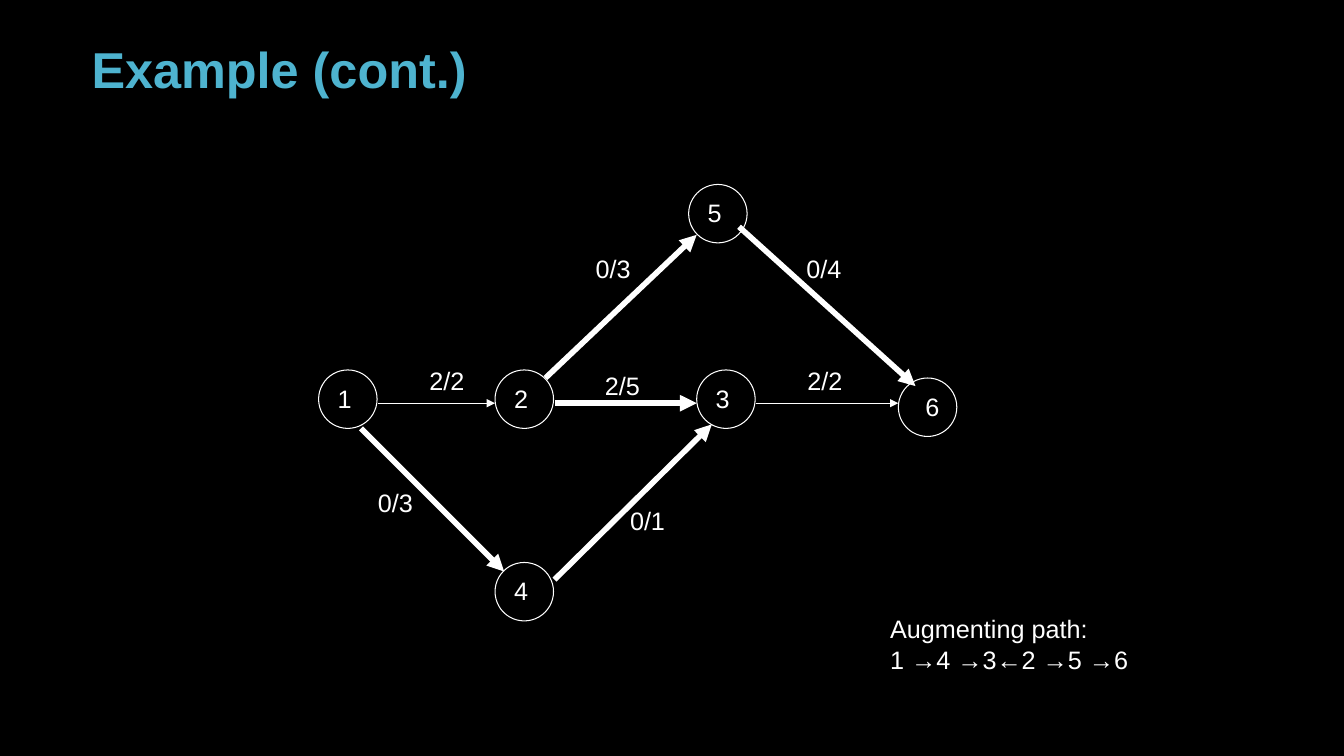
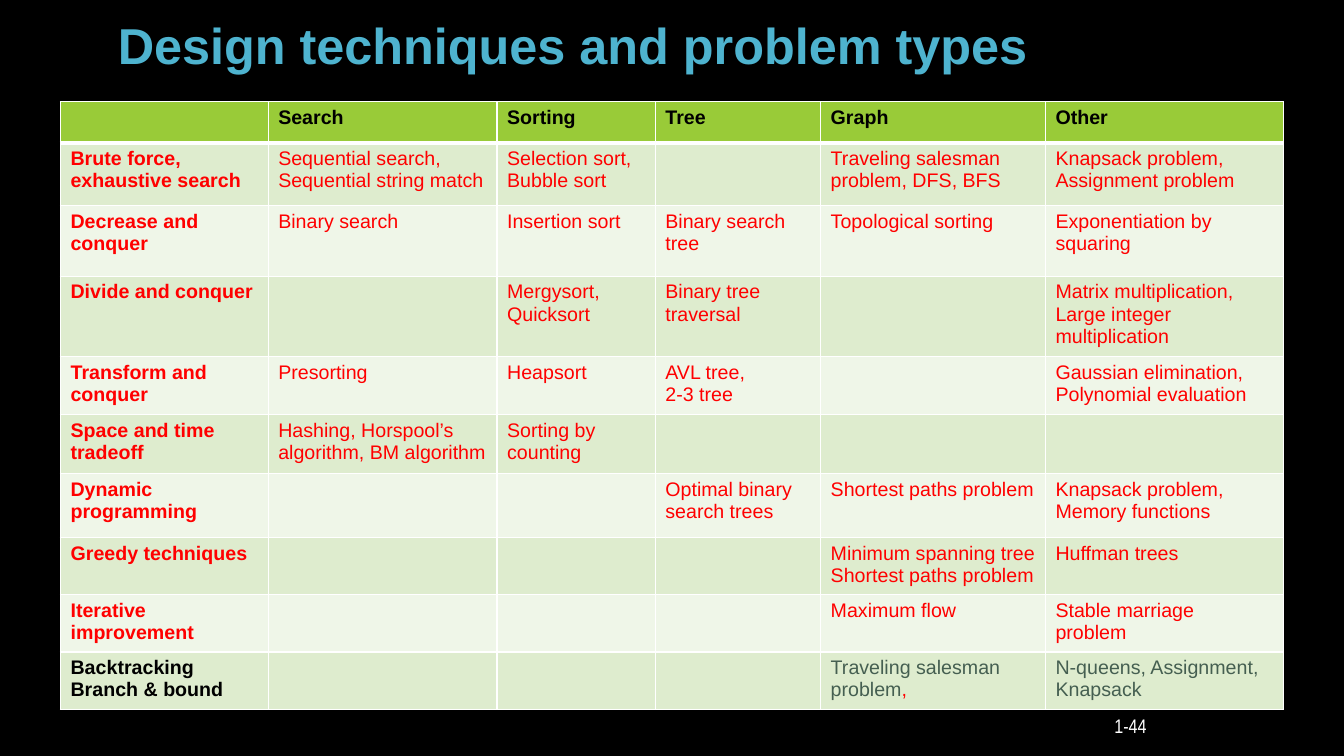
import dataclasses
import itertools

import lxml.etree
import pptx
import pptx.dml.color
import pptx.enum.shapes
import pptx.enum.text
import pptx.oxml.ns
import pptx.slide
import pptx.table
import pptx.text.text
import pptx.util

EMU_PER_PX = 9144
BLANK_LAYOUT = 6
BLACK, WHITE, RED, SLATE = "000000", "FFFFFF", "FF0000", "455F51"
TITLE_BLUE, HEADER_GREEN = "4EB3CF", "99CB38"
BANDS = ("DEECCE", "EFF6E8")
NODE_SIZE = 58
THICK, THIN = 4, 0.75


@dataclasses.dataclass(frozen=True)
class Node:
    name: str
    left: int
    top: int
    label_dx: int = 9
    label_dy: int = 8


@dataclasses.dataclass(frozen=True)
class Edge:
    start: tuple[int, int]
    end: tuple[int, int]
    width: float
    label: str
    label_at: tuple[int, int]


@dataclasses.dataclass(frozen=True)
class Technique:
    name: str
    search: str = ""
    sorting: str = ""
    tree: str = ""
    graph: str = ""
    other: str = ""
    height: int = 57
    name_color: str = RED
    color: str = RED


NODES = (
    Node("1", 316, 367),
    Node("2", 491, 367),
    Node("3", 691, 367),
    Node("4", 491, 558),
    Node("5", 683, 183),
    Node("6", 891, 375, label_dx=17),
)
EDGES = (
    Edge((358, 425), (500, 567), THICK, "0/3", (365, 479)),
    Edge((375, 400), (491, 400), THIN, "2/2", (416, 358)),
    Edge((541, 375), (691, 233), THICK, "0/3", (581, 246)),
    Edge((550, 400), (691, 400), THICK, "2/5", (590, 362)),
    Edge((550, 575), (706, 421), THICK, "0/1", (615, 496)),
    Edge((750, 400), (891, 400), THIN, "2/2", (791, 358)),
    Edge((733, 225), (908, 383), THICK, "0/4", (790, 246)),
)
COLUMNS = {"": 206, "Search": 227, "Sorting": 157, "Tree": 164, "Graph": 223, "Other": 236}
HEADER_HEIGHT = 41
TECHNIQUES = (
    Technique("Brute force, exhaustive search", "Sequential search, Sequential string match",
              "Selection sort, Bubble sort", graph="Traveling salesman problem, DFS, BFS",
              other="Knapsack problem, Assignment problem", height=62),
    Technique("Decrease and conquer", "Binary search", "Insertion sort", "Binary search tree",
              "Topological sorting", "Exponentiation by\nsquaring", height=70),
    Technique("Divide and conquer", sorting="Mergysort, Quicksort", tree="Binary tree traversal",
              other="Matrix multiplication, Large integer multiplication", height=78),
    Technique("Transform and conquer", "Presorting", "Heapsort", "AVL tree,\n2-3 tree",
              other="Gaussian elimination, Polynomial evaluation"),
    Technique("Space and time tradeoff", "Hashing, Horspool’s algorithm, BM algorithm",
              "Sorting by counting", height=59),
    Technique("Dynamic programming", tree="Optimal binary search trees",
              graph="Shortest paths problem", other="Knapsack problem, Memory functions",
              height=63),
    Technique("Greedy techniques", graph="Minimum spanning tree\nShortest paths problem",
              other="Huffman trees"),
    Technique("Iterative\nimprovement", graph="Maximum flow", other="Stable marriage\nproblem"),
    Technique("Backtracking Branch & bound", graph="Traveling salesman problem",
              other="N-queens, Assignment, Knapsack", name_color=BLACK, color=SLATE),
)


def px(length: int) -> pptx.util.Emu:
    return pptx.util.Emu(length * EMU_PER_PX)


def rgb(color: str) -> pptx.dml.color.RGBColor:
    return pptx.dml.color.RGBColor.from_string(color)


def add_span(para: pptx.text.text._Paragraph, text: str, *, size: int = 18, color: str = WHITE,
             bold: bool = False, font: str = "Arial") -> None:
    span = para.add_run()
    span.text = text
    span.font.name = font
    span.font.size = pptx.util.Pt(size)
    span.font.bold = bold
    span.font.color.rgb = rgb(color)


def write(frame: pptx.text.text.TextFrame, text: str, **style) -> None:
    for index, line in enumerate(text.split("\n")):
        para = frame.add_paragraph() if index else frame.paragraphs[0]
        add_span(para, line, **style)


def add_text(page: pptx.slide.Slide, text: str, left: int, top: int, width: int, height: int,
             wrap: bool = False, **style) -> pptx.text.text.TextFrame:
    box = page.shapes.add_textbox(px(left), px(top), px(width), px(height))
    frame = box.text_frame
    frame.word_wrap = wrap
    if not wrap:
        frame.auto_size = pptx.enum.text.MSO_AUTO_SIZE.SHAPE_TO_FIT_TEXT
    write(frame, text, **style)
    return frame


def add_title(page: pptx.slide.Slide, text: str, left: int, top: int, width: int,
              height: int) -> None:
    frame = add_text(page, text, left, top, width, height, wrap=True,
                     size=36, color=TITLE_BLUE, bold=True)
    frame.vertical_anchor = pptx.enum.text.MSO_ANCHOR.BOTTOM
    frame.paragraphs[0].line_spacing = 0.9


def add_node(page: pptx.slide.Slide, node: Node) -> None:
    circle = page.shapes.add_shape(pptx.enum.shapes.MSO_SHAPE.OVAL, px(node.left), px(node.top),
                                   px(NODE_SIZE), px(NODE_SIZE))
    circle.shadow.inherit = False
    circle.fill.background()
    circle.line.color.rgb = rgb(WHITE)
    circle.line.width = pptx.util.Pt(THIN)
    add_text(page, node.name, node.left + node.label_dx, node.top + node.label_dy, 34, 40)


def add_edge(page: pptx.slide.Slide, edge: Edge) -> None:
    arrow = page.shapes.add_connector(pptx.enum.shapes.MSO_CONNECTOR.STRAIGHT,
                                      *map(px, edge.start + edge.end))
    arrow.line.color.rgb = rgb(WHITE)
    arrow.line.width = pptx.util.Pt(edge.width)
    qn = pptx.oxml.ns.qn
    properties = arrow.element.spPr
    lxml.etree.SubElement(properties.find(qn("a:ln")), qn("a:tailEnd"), type="triangle")
    lxml.etree.SubElement(properties, qn("a:effectLst"))
    add_text(page, edge.label, *edge.label_at, 55, 40)


def style_cell(cell: pptx.table._Cell, fill: str, top: int, bottom: int) -> None:
    qn = pptx.oxml.ns.qn
    properties = cell._tc.get_or_add_tcPr()
    for side, width in {"L": 1, "R": 1, "T": top, "B": bottom}.items():
        border = lxml.etree.SubElement(properties, qn(f"a:ln{side}"), w=str(pptx.util.Pt(width)))
        paint = lxml.etree.SubElement(border, qn("a:solidFill"))
        lxml.etree.SubElement(paint, qn("a:srgbClr"), val=WHITE)
    cell.fill.solid()
    cell.fill.fore_color.rgb = rgb(fill)


def add_techniques_table(page: pptx.slide.Slide) -> None:
    heights = [HEADER_HEIGHT] + [technique.height for technique in TECHNIQUES]
    widths = list(COLUMNS.values())
    table = page.shapes.add_table(len(heights), len(widths), px(60), px(101),
                                  px(sum(widths)), px(sum(heights))).table
    table.horz_banding = False
    for column, width in zip(table.columns, widths):
        column.width = px(width)
    for row, height in zip(table.rows, heights):
        row.height = px(height)
    for cell, heading in zip(table.rows[0].cells, COLUMNS):
        style_cell(cell, HEADER_GREEN, 1, 3)
        if heading:
            write(cell.text_frame, heading, size=14, color=BLACK, bold=True)
    bands = itertools.cycle(BANDS)
    for index, (technique, band) in enumerate(zip(TECHNIQUES, bands), start=1):
        texts = (technique.name, technique.search, technique.sorting, technique.tree,
                 technique.graph, technique.other)
        for column, text in enumerate(texts):
            cell = table.cell(index, column)
            style_cell(cell, band, 3 if index == 1 else 1, 1)
            if text:
                is_name = column == 0
                write(cell.text_frame, text, size=14, bold=is_name,
                      color=technique.name_color if is_name else technique.color)
    last_graph = table.cell(len(TECHNIQUES), list(COLUMNS).index("Graph"))
    add_span(last_graph.text_frame.paragraphs[0], ",", size=14, color=RED)


def build_flow_page(page: pptx.slide.Slide) -> None:
    for edge in EDGES:
        add_edge(page, edge)
    for node in NODES:
        add_node(page, node)
    add_text(page, "Augmenting path:\n1 →4 →3←2 →5 →6", 873, 604, 256, 70)
    add_title(page, "Example (cont.)", 81, 27, 1000, 77)


def build_techniques_page(page: pptx.slide.Slide) -> None:
    add_title(page, "Design techniques and problem types", 107, 34, 1134, 46)
    add_techniques_table(page)
    number = add_text(page, "1-44", 939, 703, 208, 33, wrap=True, size=14, font="Arial Narrow")
    number.vertical_anchor = pptx.enum.text.MSO_ANCHOR.MIDDLE
    number.paragraphs[0].alignment = pptx.enum.text.PP_ALIGN.RIGHT


def main() -> None:
    deck = pptx.Presentation()
    deck.slide_width, deck.slide_height = px(1333), px(750)
    background = deck.slide_master.background.fill
    background.solid()
    background.fore_color.rgb = rgb(BLACK)
    for build in (build_flow_page, build_techniques_page):
        build(deck.slides.add_slide(deck.slide_layouts[BLANK_LAYOUT]))
    deck.save("out.pptx")


if __name__ == "__main__":
    main()
